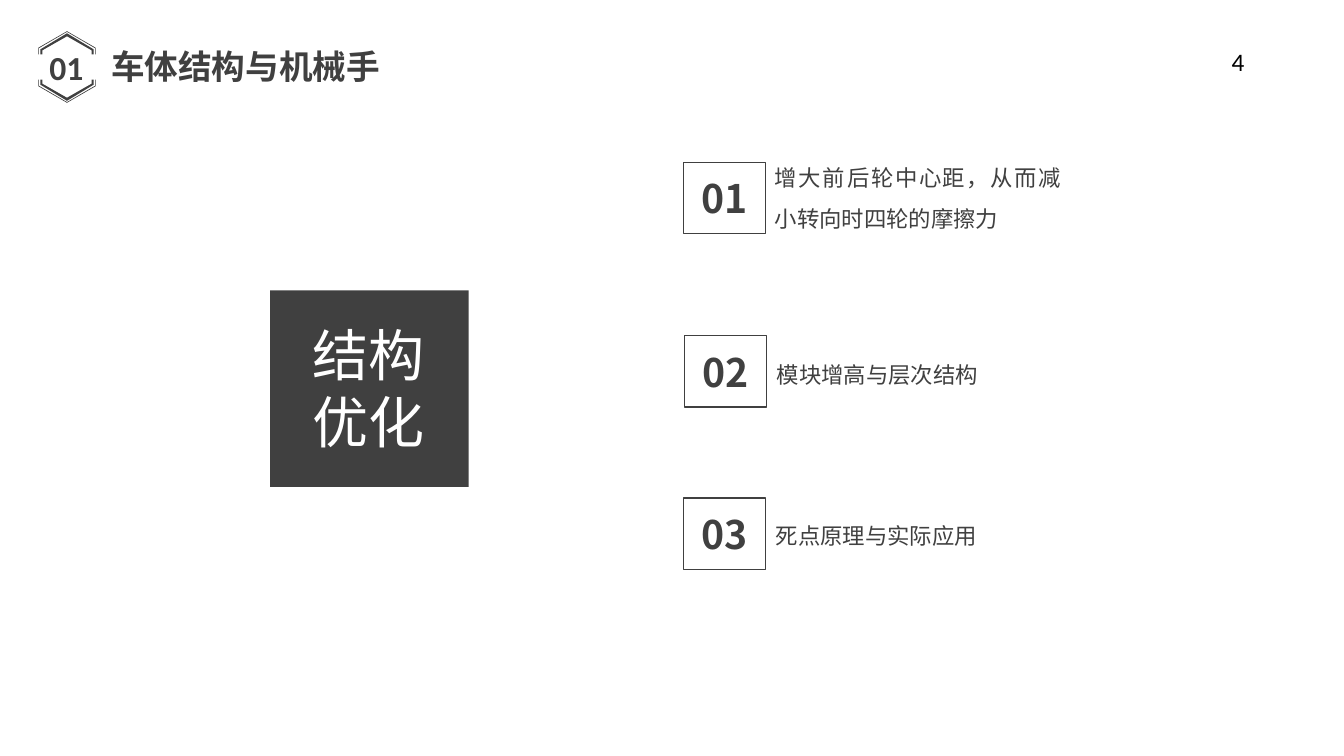
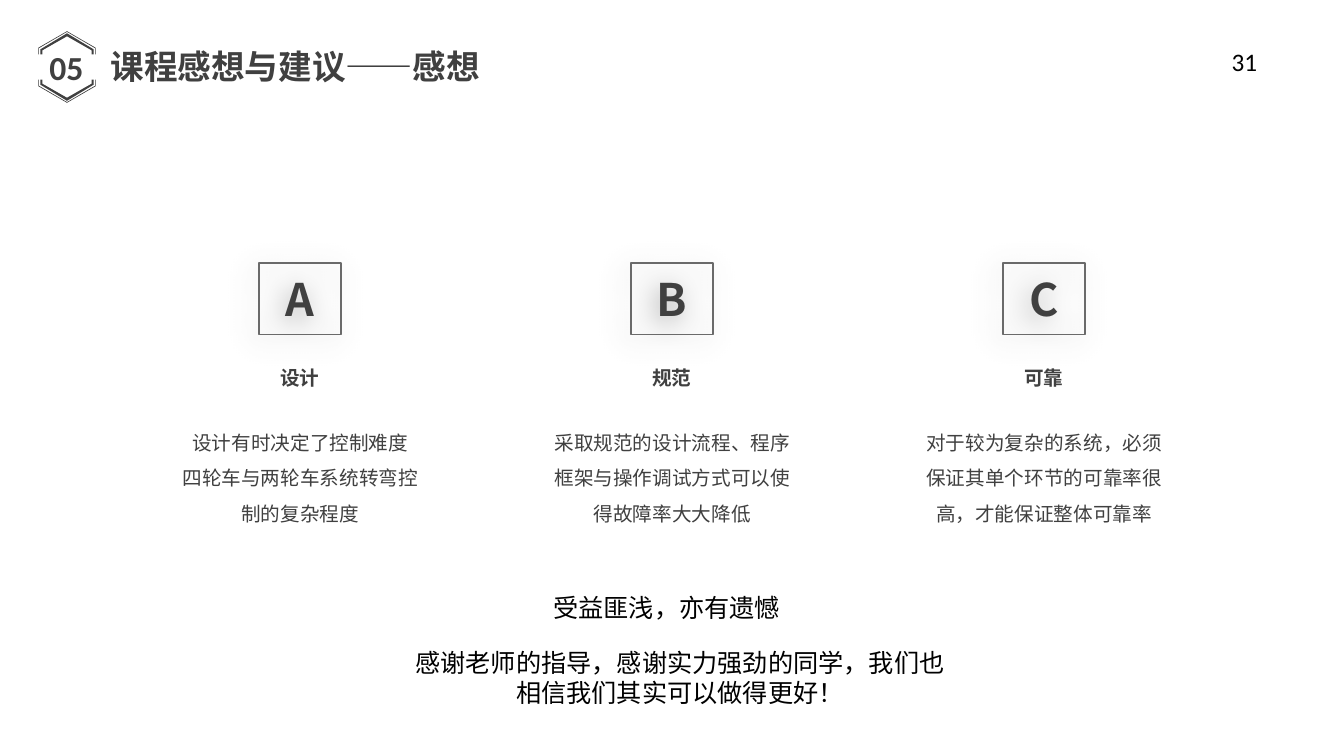
from lxml.etree import SubElement
from pptx import Presentation
from pptx.dml.color import RGBColor as Rgb
from pptx.enum.shapes import MSO_SHAPE as Preset
from pptx.enum.text import MSO_ANCHOR as Anchor, MSO_AUTO_SIZE as Fit, PP_ALIGN as Align
from pptx.oxml.ns import qn
from pptx.util import Emu, Pt

COLORS = {"ink": "404040", "frame": "6A6A6A", "paper": "FFFFFF", "black": "000000"}
CJK, LATIN = "Noto Sans CJK SC", "Calibri"
TILE = (2.44, 2.84)

deck = Presentation()
deck.slide_width, deck.slide_height = Emu(12192000), Emu(6858000)
COLUMN, ROW = deck.slide_width / 40, deck.slide_height / 30


def write(box, lines, size, color="ink", face=CJK, bold=False, align=Align.LEFT,
          spacing=1.0, **frame_format):
    frame = box.text_frame
    for name, value in {"word_wrap": True, **frame_format}.items():
        setattr(frame, name, value)
    for index, line in enumerate(lines):
        para = frame.paragraphs[0] if index == 0 else frame.add_paragraph()
        para.alignment, para.line_spacing = align, spacing
        span = para.add_run()
        span.text = line
        for name, value in {"size": Pt(size), "name": face, "bold": bold}.items():
            setattr(span.font, name, value)
        span.font.color.rgb = Rgb.from_string(COLORS[color])
        SubElement(span.font._element, qn("a:ea"), typeface=CJK)


def place(page, left, top, width, height, fill=None, line=None):
    area = [Emu(round(n)) for n in (left * COLUMN, top * ROW, width * COLUMN, height * ROW)]
    if not fill and not line:
        return page.shapes.add_textbox(*area)
    box = page.shapes.add_shape(Preset.RECTANGLE, *area)
    box.shadow.inherit = False
    if fill:
        box.fill.solid()
        box.fill.fore_color.rgb = Rgb.from_string(COLORS[fill])
    else:
        box.fill.background()
    if line:
        box.line.color.rgb = Rgb.from_string(COLORS[line])
        box.line.width = Pt(1)
    else:
        box.line.fill.background()
    return box


GROW = {"auto_size": Fit.SHAPE_TO_FIT_TEXT}
CENTER = {"align": Align.CENTER}
TILE_TEXT = {"bold": True, "vertical_anchor": Anchor.MIDDLE, **CENTER}

HEADERS = [
    ("01", "车体结构与机械手", 8.67, "4", 1.08),
    ("05", "课程感想与建议——感想", 11.64, "31", 1.47),
]
BADGE_CENTER, ARM_END = 665, 125
BADGE_RIMS = [
    ((285, 190, 355), (279, 186, 348)),
    ((265, 175, 335), (245, 165, 305)),
]

pages = []
for chapter, title, title_width, number, number_width in HEADERS:
    page = deck.slides.add_slide(deck.slide_layouts[6])
    pages.append(page)
    write(place(page, 2.97, 1.64, title_width, 2), [title], 24, bold=True,
          **{**CENTER, **GROW, "word_wrap": False})
    write(place(page, 0.84, 1.48, 2.28, 2.4), [chapter], 24, face=LATIN, **TILE_TEXT)
    write(place(page, 36.36, 1.64, number_width, 1.64), [number], 18, "black", LATIN, **GROW)
    for rims in BADGE_RIMS:
        outer, inner = [
            [(-half, ARM_END), (-half, shoulder), (0, peak), (half, shoulder), (half, ARM_END)]
            for half, shoulder, peak in rims
        ]
        for side in (-1, 1):
            points = [(BADGE_CENTER + x, BADGE_CENTER + side * y) for x, y in outer + inner[::-1]]
            builder = page.shapes.build_freeform(*points[0], scale=deck.slide_height / 7500)
            builder.add_line_segments(points[1:], close=True)
            bracket = builder.convert_to_shape()
            bracket.shadow.inherit = False
            bracket.fill.solid()
            bracket.fill.fore_color.rgb = Rgb.from_string(COLORS["ink"])
            bracket.line.fill.background()

structure, thoughts = pages

place(structure, 8.04, 11.52, 5.91, 7.8, fill="ink")
write(place(structure, 9, 12.52, 3.96, 5.8), ["结构", "优化"], 40, "paper",
      **{**GROW, "word_wrap": False})

POINTS = [
    ("01", 20.34, 6.44, "增大前后轮中心距，从而减小转向时四轮的摩擦力", 22.77, 5.8, 3.44),
    ("02", 20.37, 13.32, "模块增高与层次结构", 22.83, 13.6, 1.84),
    ("03", 20.34, 19.76, "死点原理与实际应用", 22.8, 20, 1.84),
]
for label, left, top, sentence, text_left, text_top, text_height in POINTS:
    tile = place(structure, left, top, *TILE, fill="paper", line="ink")
    write(tile, [label], 28, **TILE_TEXT)
    write(place(structure, text_left, text_top, 9.12, text_height), [sentence], 16,
          align=Align.JUSTIFY, spacing=1.5, **GROW)

THOUGHTS = [
    ("A", "设计", ["设计有时决定了控制难度", "四轮车与两轮车系统转弯控制的复杂程度"]),
    ("B", "规范", ["采取规范的设计流程、程序框架与操作调试方式可以使得故障率大大降低"]),
    ("C", "可靠", ["对于较为复杂的系统，必须保证其单个环节的可靠率很高，才能保证整体可靠率"]),
]
for index, (letter, heading, lines) in enumerate(THOUGHTS):
    shift = index * 11.07
    tile = place(thoughts, 7.71 + shift, 10.44, *TILE, line="frame")
    write(tile, [letter], 32, **TILE_TEXT)
    effects = tile._element.spPr.find(qn("a:effectLst"))
    shadow = SubElement(effects, qn("a:outerShdw"), blurRad=str(Pt(21)), dist=str(Pt(5)),
                        dir="8100000", algn="tr", rotWithShape="0")
    tint = SubElement(shadow, qn("a:srgbClr"), val=COLORS["black"])
    SubElement(tint, qn("a:alpha"), val="40000")
    write(place(thoughts, 8.04 + shift, 14.32, 1.77, 1.36), [heading], 14, bold=True,
          **{**CENTER, **GROW, "word_wrap": False})
    write(place(thoughts, 5.1 + shift, 16.44, 7.68, 4.48), lines, 14, spacing=1.5,
          **CENTER, **GROW)

write(place(thoughts, 16.17, 23.32, 7.68, 1.6), ["受益匪浅，亦有遗憾"], 18, "black", **GROW)
write(place(thoughts, 12.06, 25.48, 16.35, 2.84),
      ["感谢老师的指导，感谢实力强劲的同学，我们也相信我们其实可以做得更好！"],
      18, "black", **CENTER, **GROW)

deck.save("out.pptx")
